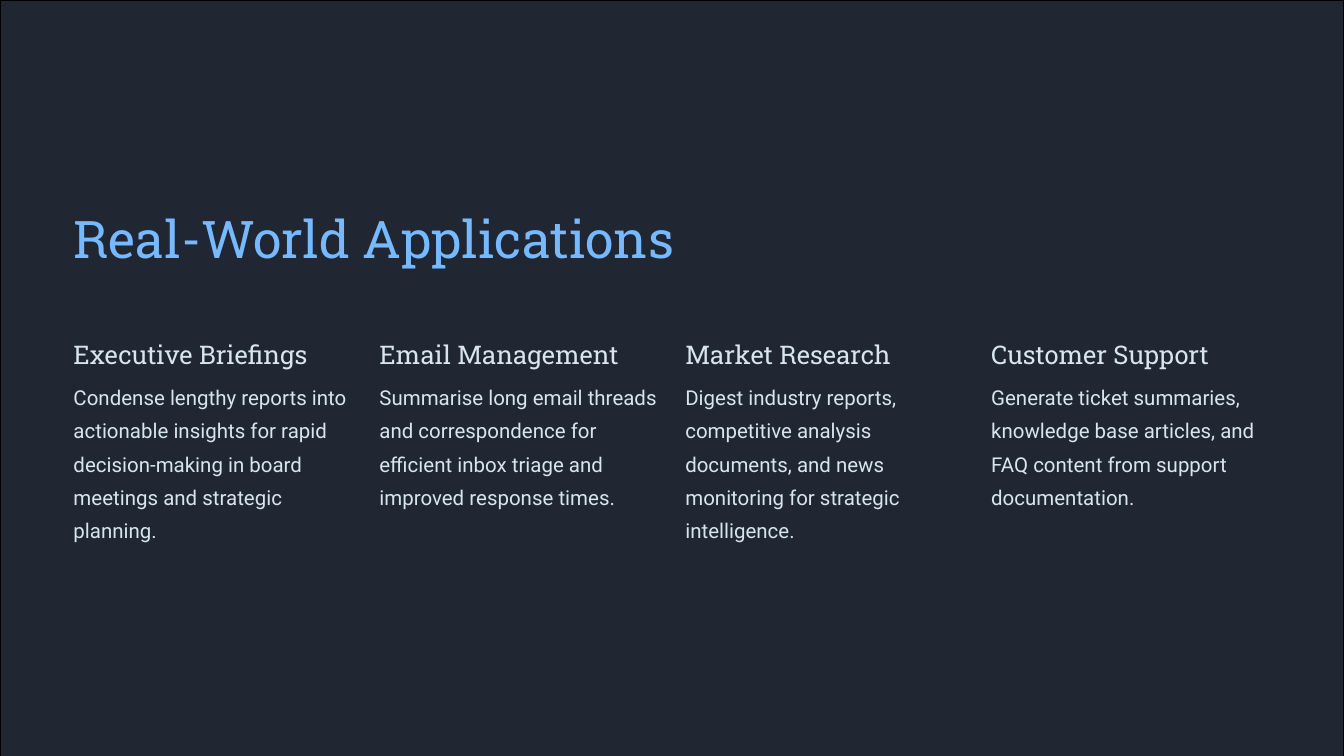
import dataclasses

import pptx
import pptx.dml.color
import pptx.enum.shapes
import pptx.enum.text
import pptx.util

EMU_PER_PX = 9525
SLIDE_WIDTH, SLIDE_HEIGHT = 1920, 1080

LEFT_MARGIN = 105
COLUMN_PITCH = 437
HEADING_TOP = 482
BODY_TOP = 538
BODY_LINE, BODY_PADDING = 47, 13

# heading, description, number of lines the description takes
APPLICATIONS = [
    ("Executive Briefings",
     "Condense lengthy reports into actionable insights for rapid "
     "decision-making in board meetings and strategic planning.", 5),
    ("Email Management",
     "Summarise long email threads and correspondence for efficient "
     "inbox triage and improved response times.", 4),
    ("Market Research",
     "Digest industry reports, competitive analysis documents, and news "
     "monitoring for strategic intelligence.", 5),
    ("Customer Support",
     "Generate ticket summaries, knowledge base articles, and FAQ content "
     "from support documentation.", 4),
]


@dataclasses.dataclass(frozen=True)
class TextStyle:
    font: str
    size: float
    line_spacing: float
    color: str


@dataclasses.dataclass(frozen=True)
class Theme:
    background: str = "202733"
    outline: str = "000000"
    outline_width: float = 1
    title: TextStyle = TextStyle("Roboto Slab", 55.6, 69.4, "76B9FF")
    heading: TextStyle = TextStyle("Roboto Slab", 27.5, 34.4, "D6E5EF")
    body: TextStyle = TextStyle("Roboto", 21.9, 35.6, "D6E5EF")


def px(*lengths):
    """Turn px lengths into EMU."""
    return [pptx.util.Emu(length * EMU_PER_PX) for length in lengths]


def rgb(value):
    return pptx.dml.color.RGBColor.from_string(value)


class SlideBuilder:
    def __init__(self, slide, theme):
        self.slide = slide
        self.theme = theme

    def backdrop(self):
        shape = self.slide.shapes.add_shape(
            pptx.enum.shapes.MSO_SHAPE.RECTANGLE,
            *px(0, 0, SLIDE_WIDTH, SLIDE_HEIGHT))
        shape.shadow.inherit = False
        shape.fill.solid()
        shape.fill.fore_color.rgb = rgb(self.theme.background)
        shape.line.color.rgb = rgb(self.theme.outline)
        shape.line.width = pptx.util.Pt(self.theme.outline_width)

    def text(self, words, style, left, top, width, height):
        box = self.slide.shapes.add_textbox(*px(left, top, width, height))
        frame = box.text_frame
        frame.word_wrap = True
        frame.auto_size = pptx.enum.text.MSO_AUTO_SIZE.SHAPE_TO_FIT_TEXT
        frame.margin_left = frame.margin_right = 0
        frame.margin_top = frame.margin_bottom = 0
        paragraph = frame.paragraphs[0]
        paragraph.text = words
        paragraph.line_spacing = pptx.util.Pt(style.line_spacing)
        paragraph.font.name = style.font
        paragraph.font.size = pptx.util.Pt(style.size)
        paragraph.font.color.rgb = rgb(style.color)

    def application(self, left, heading, description, lines):
        self.text(heading, self.theme.heading, left, HEADING_TOP, 372, 49)
        self.text(description, self.theme.body, left, BODY_TOP, 400,
                  lines * BODY_LINE + BODY_PADDING)


def main():
    presentation = pptx.Presentation()
    presentation.slide_width, presentation.slide_height = px(
        SLIDE_WIDTH, SLIDE_HEIGHT)
    slide = presentation.slides.add_slide(presentation.slide_layouts[6])
    theme = Theme()
    builder = SlideBuilder(slide, theme)

    builder.backdrop()
    builder.text("Real-World Applications", theme.title,
                 LEFT_MARGIN, 292, 862, 95)
    for column, application in enumerate(APPLICATIONS):
        builder.application(LEFT_MARGIN + column * COLUMN_PITCH, *application)

    presentation.save("out.pptx")


if __name__ == "__main__":
    main()
